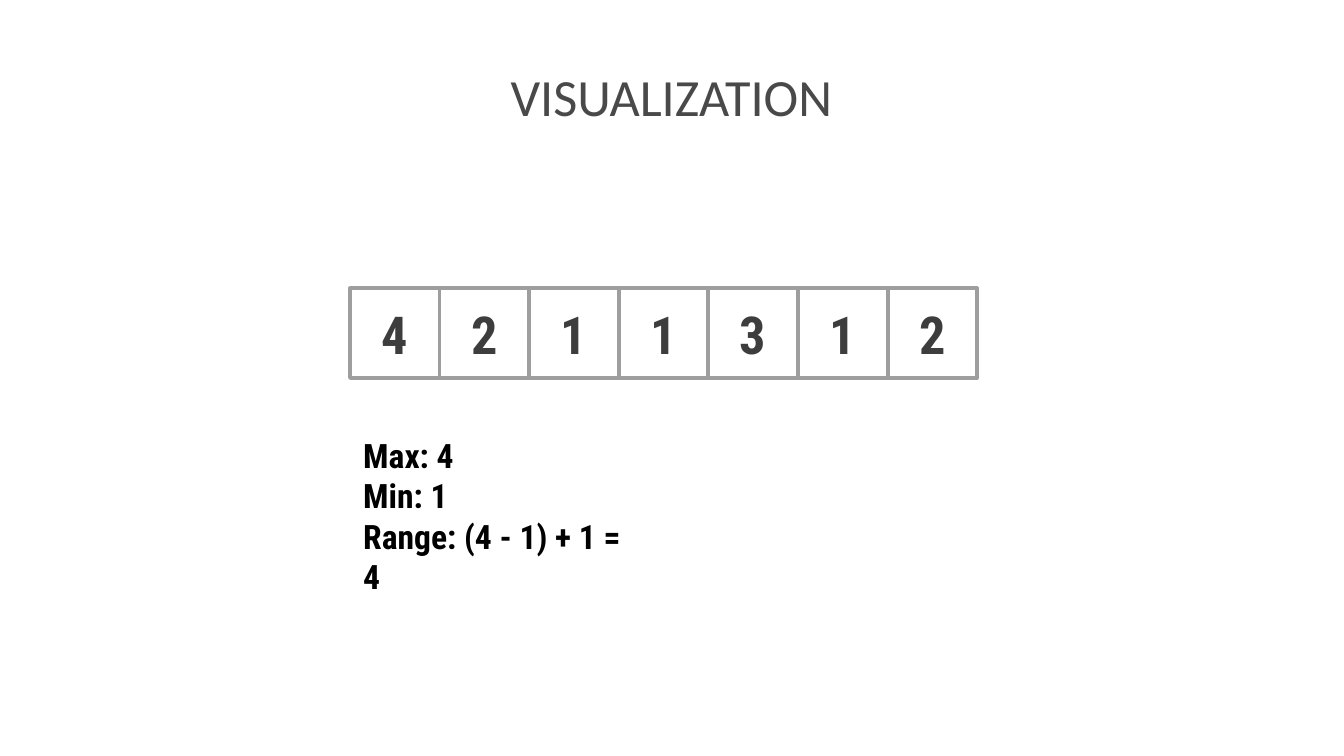
from pptx import Presentation
from pptx.dml.color import RGBColor
from pptx.enum.shapes import MSO_SHAPE as Shape
from pptx.enum.text import MSO_ANCHOR as Anchor, MSO_AUTO_SIZE as AutoSize, PP_ALIGN as Align
from pptx.util import Pt

EMU_PER_PX = 9525
COLOURS = {"title": "494949", "digit": "3D3D3D", "border": "9E9E9E",
           "cell": "FFFFFF", "notes": "000000"}
VALUES = [4, 2, 1, 1, 3, 1, 2]
CELL = 64


def px(*lengths):
    """Turn pixel lengths into EMU."""
    return [length * EMU_PER_PX for length in lengths]


def colour(name):
    """Look up a named colour."""
    return RGBColor.from_string(COLOURS[name])


def style(para, face, size, tint, bold, align):
    """Set the font and alignment of a paragraph."""
    para.alignment = align
    font = para.font
    font.name, font.size, font.bold = face, Pt(size), bold
    font.color.rgb = colour(tint)


def place_title(page, text):
    """Move and format the title placeholder."""
    title = page.shapes.title
    title.left, title.top, title.width, title.height = px(191, 36, 577, 60)
    frame = title.text_frame
    frame.text = text
    frame.auto_size = AutoSize.NONE
    frame.vertical_anchor = Anchor.TOP
    frame.margin_left, frame.margin_top, frame.margin_right, frame.margin_bottom = px(10, 10, 10, 10)
    style(frame.paragraphs[0], "Calibri", 28, "title", False, Align.CENTER)


def add_cell(page, left, top, value):
    """Add one square of the array."""
    cell = page.shapes.add_shape(Shape.RECTANGLE, *px(left, top, CELL, CELL))
    cell.shadow.inherit = False
    cell.fill.solid()
    cell.fill.fore_color.rgb = colour("cell")
    cell.line.color.rgb = colour("border")
    cell.line.width = Pt(2)
    frame = cell.text_frame
    frame.text = str(value)
    frame.vertical_anchor = Anchor.MIDDLE
    style(frame.paragraphs[0], "Roboto Condensed", 28, "digit", True, Align.CENTER)


def add_notes(page, lines):
    """Add the summary of the values below the array."""
    box = page.shapes.add_textbox(*px(250, 306, 211, 97))
    frame = box.text_frame
    frame.word_wrap = True
    frame.auto_size = AutoSize.SHAPE_TO_FIT_TEXT
    frame.text = "\n".join(lines)
    for para in frame.paragraphs:
        style(para, "Roboto Condensed", 18, "notes", True, Align.LEFT)


def main():
    """Build the slide and save it."""
    deck = Presentation()
    deck.slide_width, deck.slide_height = px(960, 540)
    page = deck.slides.add_slide(deck.slide_layouts.get_by_name("Title Only"))
    place_title(page, "VISUALIZATION")
    for index, value in enumerate(VALUES):
        add_cell(page, 250 + index * CELL, 206, value)
    high, low = max(VALUES), min(VALUES)
    add_notes(page, [f"Max: {high}", f"Min: {low}",
                     f"Range: ({high} - {low}) + 1 = {high - low + 1}"])
    deck.save("out.pptx")


if __name__ == "__main__":
    main()
